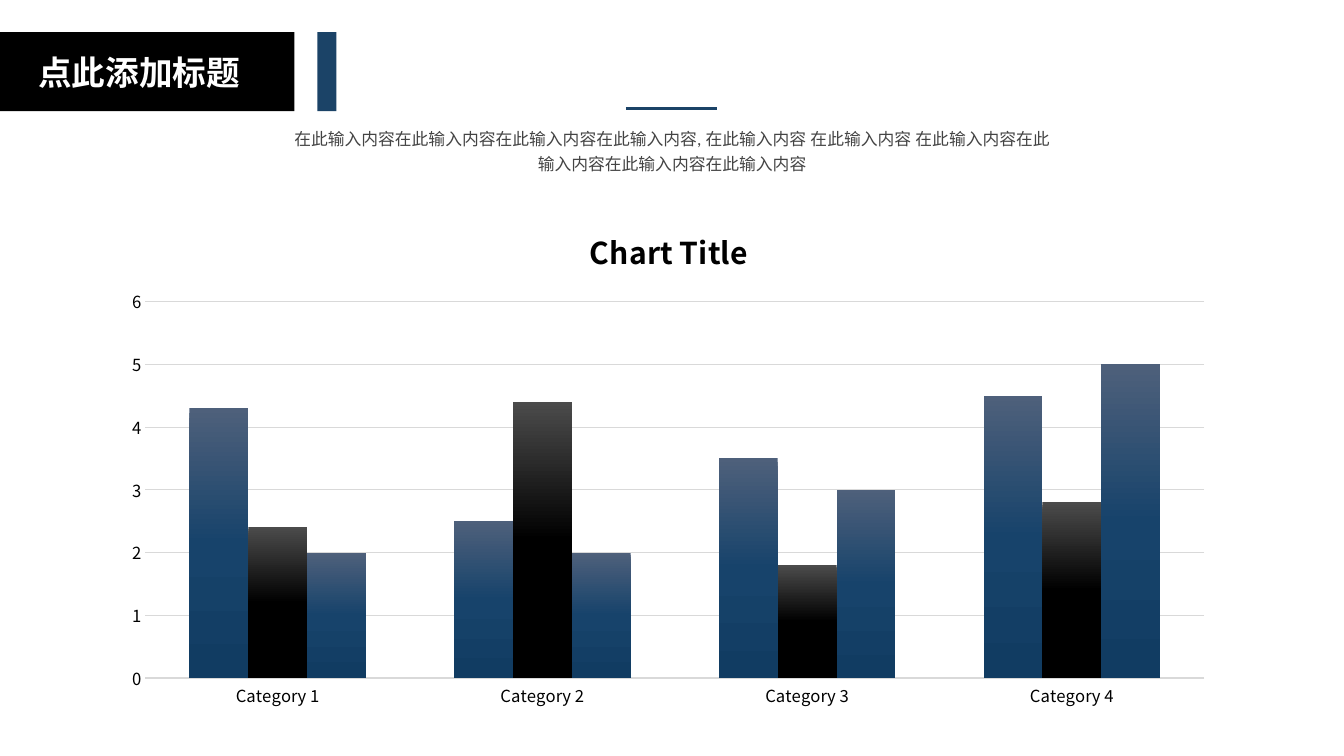
from lxml.etree import SubElement
from copy import deepcopy
from pptx import Presentation
from pptx.chart.data import CategoryChartData
from pptx.dml.color import RGBColor
from pptx.enum.chart import XL_CHART_TYPE, XL_TICK_MARK
from pptx.enum.shapes import MSO_CONNECTOR, MSO_SHAPE
from pptx.enum.text import MSO_ANCHOR, MSO_AUTO_SIZE, PP_ALIGN
from pptx.oxml.ns import qn
from pptx.util import Cm, Pt

TITLE = "点此添加标题"
INTRO = ("在此输入内容在此输入内容在此输入内容在此输入内容, 在此输入内容 "
         "在此输入内容 在此输入内容在此输入内容在此输入内容在此输入内容")
HEAD = "Chart Title"
CATS = ["Category 1", "Category 2", "Category 3", "Category 4"]

BLACK = RGBColor(0x00, 0x00, 0x00)
WHITE = RGBColor(0xFF, 0xFF, 0xFF)
NAVY = RGBColor(0x1B, 0x43, 0x67)
GREY = RGBColor(0x44, 0x44, 0x44)
RULE = RGBColor(0xD9, 0xD9, 0xD9)
BLUES = [RGBColor(0x4E, 0x60, 0x7B), RGBColor(0x17, 0x43, 0x6B),
         RGBColor(0x11, 0x3C, 0x62)]
DARKS = [RGBColor(0x4B, 0x4B, 0x4B), BLACK, BLACK]

SERIES = [
    ("Series 1", (4.3, 2.5, 3.5, 4.5), BLUES),
    ("Series 2", (2.4, 4.4, 1.8, 2.8), DARKS),
    ("Series 3", (2, 2, 3, 5), BLUES),
]
PLOT = {"x": 0.03, "y": 0.19, "w": 0.95, "h": 0.73}  # shares of the chart
CJK = "Noto Sans CJK SC"
BAND_TOP, BAND_HIGH = Cm(0.81), Cm(1.99)


def style(font, size, color, name=CJK, bold=False):
    font.size, font.name, font.bold = Pt(size), name, bold
    font.color.rgb = color


def write(frame, text, size, color, name, bold=False):
    frame.text = text
    frame.word_wrap = True
    frame.auto_size = MSO_AUTO_SIZE.SHAPE_TO_FIT_TEXT
    frame.vertical_anchor = MSO_ANCHOR.TOP
    para = frame.paragraphs[0]
    para.alignment = PP_ALIGN.CENTER
    style(para.font, size, color, name, bold)
    latin = para._p.find(".//" + qn("a:latin"))
    east = deepcopy(latin)
    east.tag = qn("a:ea")
    latin.addnext(east)
    return para


def shade(ser, colors):
    """Fill a series from top to bottom with evenly spaced colours."""
    fill = ser.format.fill
    fill.gradient()
    fill.gradient_angle = 270
    stops = ser._element.find(".//" + qn("a:gsLst"))
    stops.append(deepcopy(stops[-1]))
    for i, (stop, color) in enumerate(zip(fill.gradient_stops, colors)):
        stop.position = i / (len(colors) - 1)
        stop.color.rgb = color


def place(chart):
    """Fix the inner plot area within the chart."""
    area = chart._chartSpace.find(".//" + qn("c:plotArea"))
    layout = area.find(qn("c:layout"))
    if layout is None:
        layout = SubElement(area, qn("c:layout"))
        area.insert(0, layout)
    manual = SubElement(layout, qn("c:manualLayout"))
    parts = [("layoutTarget", "inner"), ("xMode", "edge"), ("yMode", "edge")]
    for tag, val in parts + list(PLOT.items()):
        SubElement(manual, qn("c:" + tag)).set("val", str(val))


def add_chart(slide):
    data = CategoryChartData()
    data.categories = CATS
    for name, vals, _ in SERIES:
        data.add_series(name, vals)
    chart = slide.shapes.add_chart(
        XL_CHART_TYPE.COLUMN_CLUSTERED, Cm(2.82), Cm(5.13), Cm(28.09),
        Cm(13), data).chart
    style(chart.font, 10, BLACK)
    chart.has_legend = False
    chart.has_title = True
    chart.chart_title.include_in_layout = False
    chart.chart_title.text_frame.text = HEAD
    style(chart.chart_title.text_frame.paragraphs[0].font, 21.5, BLACK,
          bold=True)
    place(chart)

    plot = chart.plots[0]
    plot.gap_width, plot.overlap, plot.vary_by_categories = 150, 0, False
    for ser, (_, _, colors) in zip(plot.series, SERIES):
        shade(ser, colors)

    cat, val = chart.category_axis, chart.value_axis
    for axis in (cat, val):
        axis.major_tick_mark = axis.minor_tick_mark = XL_TICK_MARK.NONE
        style(axis.tick_labels.font, 11.9, BLACK)
    val.minimum_scale, val.maximum_scale, val.major_unit = 0, 6, 1
    val.format.line.fill.background()
    grid = val.major_gridlines.format.line
    for line, width in ((cat.format.line, 1), (grid, 0.75)):
        line.color.rgb, line.width = RULE, Pt(width)


def add_intro(slide):
    box = slide.shapes.add_textbox(Cm(7.34), Cm(3.12), Cm(19.2), Cm(1.22))
    frame = box.text_frame
    frame.margin_left = frame.margin_right = 0
    frame.margin_top = frame.margin_bottom = 0
    write(frame, INTRO, 12, GREY, "Lato").line_spacing = 1.25

    y = Cm(2.74)
    dash = slide.shapes.add_connector(
        MSO_CONNECTOR.STRAIGHT, Cm(15.77), y, Cm(18.08), y)
    dash.line.color.rgb, dash.line.width = NAVY, Pt(2)
    SubElement(dash._element.spPr, qn("a:effectLst"))


def add_band(slide):
    for left, width, color in ((0, 7.42, BLACK), (8, 0.48, NAVY)):
        bar = slide.shapes.add_shape(
            MSO_SHAPE.RECTANGLE, Cm(left), BAND_TOP, Cm(width), BAND_HIGH)
        bar.shadow.inherit = False
        bar.fill.solid()
        bar.fill.fore_color.rgb = color
        bar.line.fill.background()

    title = slide.shapes.title
    title.left, title.top = Cm(0), Cm(1.17)
    title.width, title.height = Cm(7.01), Cm(1.27)
    write(title.text_frame, TITLE, 24, WHITE, CJK, True)
    slide.shapes._spTree.append(title._element)  # in front of the band


def main():
    deck = Presentation()
    deck.slide_width, deck.slide_height = Cm(33.87), Cm(19.05)
    slide = deck.slides.add_slide(deck.slide_layouts[5])
    add_chart(slide)
    add_intro(slide)
    add_band(slide)
    deck.save("out.pptx")


if __name__ == "__main__":
    main()
